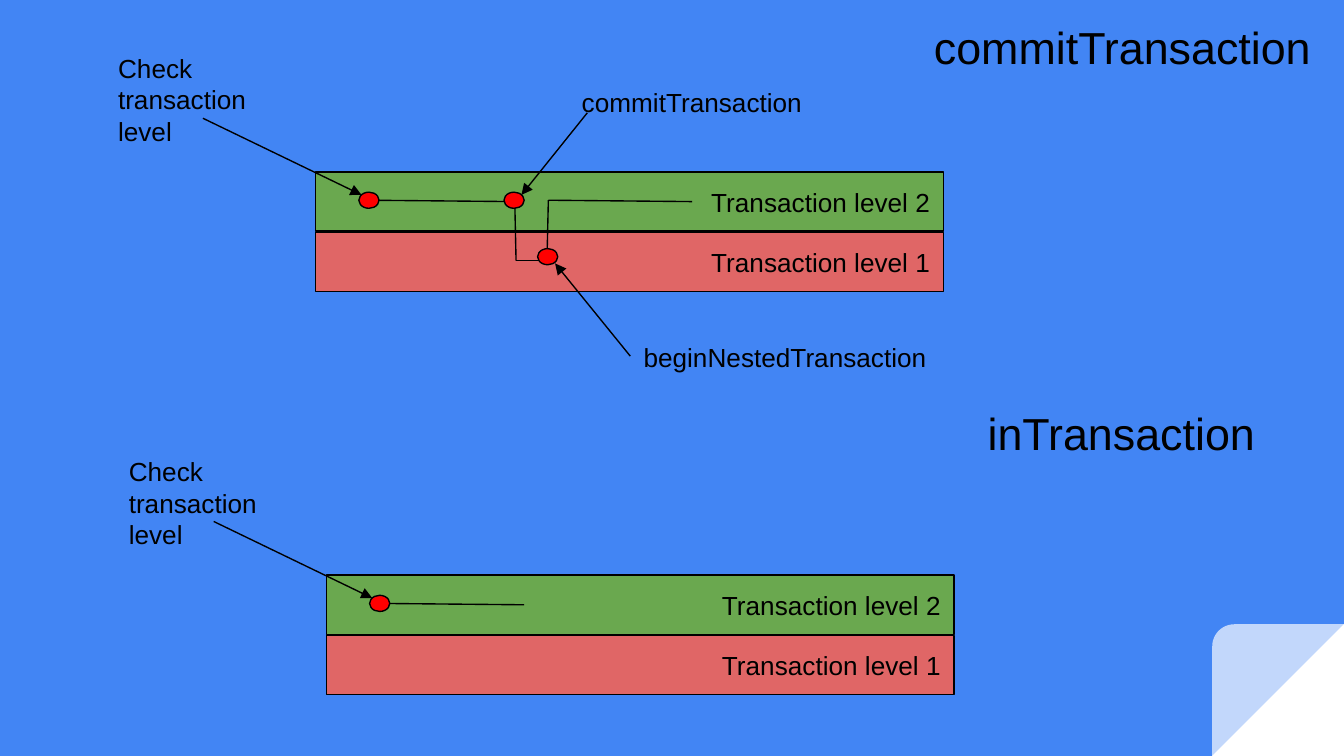
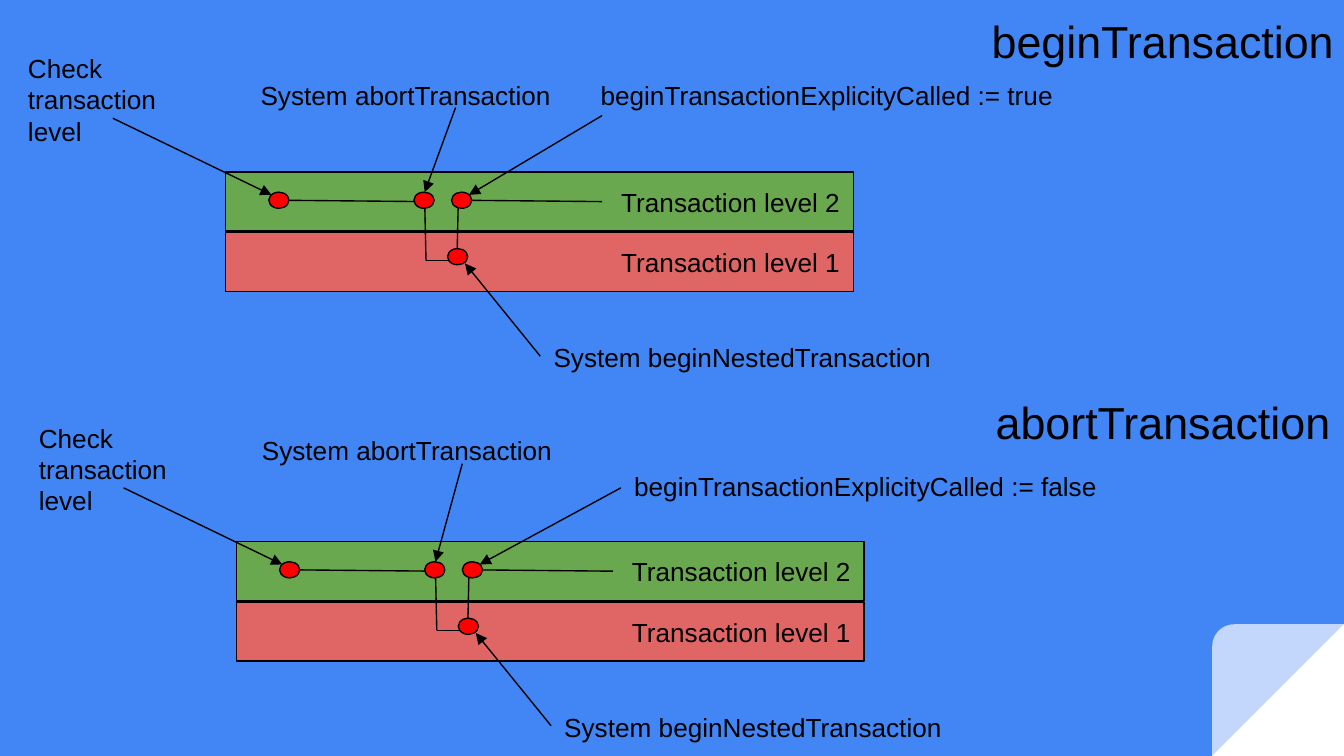
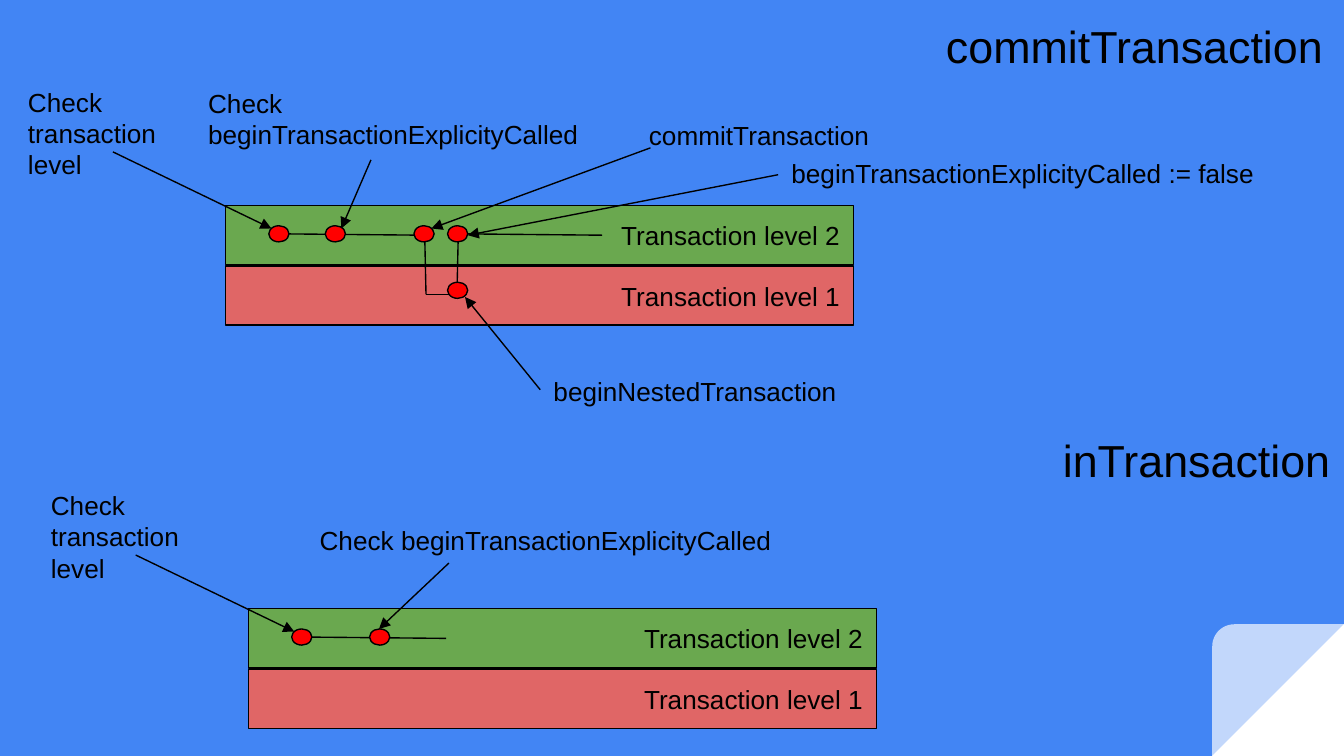
import pptx
import pptx.dml.color
import pptx.enum.shapes
import pptx.enum.text
import pptx.oxml.ns
import pptx.util
from lxml import etree

RGB = pptx.dml.color.RGBColor
SHAPE = pptx.enum.shapes.MSO_SHAPE
BLUE = RGB(0x42, 0x85, 0xF4)
GREEN = RGB(0x6A, 0xA8, 0x4F)
ROSE = RGB(0xE0, 0x66, 0x66)
RED = RGB(0xFF, 0x00, 0x00)
BLACK = RGB(0x00, 0x00, 0x00)
WHITE = RGB(0xFF, 0xFF, 0xFF)

PX = 9144
WIDTH, CORNER = 1000, 98
BAR_W, BAR_H, BAR_STEP = 467, 44, 45
DOT_W, DOT_H, DOT_TOP = 15, 12, 15
LINE_PT = 0.75

EXPLICIT = "beginTransactionExplicityCalled"
FIRST_LINE = [((39, 21), (147, 22))]
NESTED_LINES = FIRST_LINE + [
    ((148, 21), (149, 66)),
    ((149, 66), (172, 66)),
    ((173, 21), (172, 66)),
    ((173, 21), (280, 22)),
]
CHECK_LEVEL = ("Check transaction level", (-157, -99, 125, 96), (-84, -40), (34, 17), (32, DOT_TOP))


def nested(text, width):
    """Return the callout of the nested transaction."""
    return text, (234, 116, width, 46), (234, 137), (178, 68), (165, 57)


def emu(*lengths):
    """Turn px lengths into EMU."""
    return [pptx.util.Emu(length * PX) for length in lengths]


def add_filled(s, kind, box, color, outlined=True):
    """Add a filled shape without shadow."""
    sp = s.shapes.add_shape(kind, *emu(*box))
    sp.shadow.inherit = False
    sp.fill.solid()
    sp.fill.fore_color.rgb = color
    if outlined:
        sp.line.color.rgb = BLACK
        sp.line.width = pptx.util.Pt(LINE_PT)
    else:
        sp.line.fill.background()
    return sp


def write(sp, text, size, align=pptx.enum.text.PP_ALIGN.LEFT):
    """Write one black paragraph into a shape."""
    tf = sp.text_frame
    tf.word_wrap = True
    tf.margin_left = tf.margin_right = tf.margin_top = tf.margin_bottom = pptx.util.Inches(0.1)
    p = tf.paragraphs[0]
    p.text = text
    p.alignment = align
    p.font.name = "Arial"
    p.font.size = pptx.util.Pt(size)
    p.font.color.rgb = BLACK


def add_text(s, text, box, size):
    """Add a text box."""
    sp = s.shapes.add_textbox(*emu(*box))
    write(sp, text, size)
    return sp


def add_line(s, start, end, arrow=False):
    """Add a straight line, with an arrowhead at its end if asked."""
    line = s.shapes.add_connector(pptx.enum.shapes.MSO_CONNECTOR.STRAIGHT, *emu(*start, *end))
    line.line.color.rgb = BLACK
    line.line.width = pptx.util.Pt(LINE_PT)
    props = line._element.spPr
    if arrow:
        etree.SubElement(props.find(pptx.oxml.ns.qn("a:ln")), pptx.oxml.ns.qn("a:tailEnd"), type="triangle")
    etree.SubElement(props, pptx.oxml.ns.qn("a:effectLst"))
    return line


def add_bars(s, left, top):
    """Draw the two transaction levels."""
    for row, (level, color) in enumerate(((2, GREEN), (1, ROSE))):
        sp = add_filled(s, SHAPE.RECTANGLE, (left, top + row * BAR_STEP, BAR_W, BAR_H), color)
        sp.text_frame.vertical_anchor = pptx.enum.text.MSO_ANCHOR.MIDDLE
        write(sp, f"Transaction level {level}", 14, pptx.enum.text.PP_ALIGN.RIGHT)


def add_callout(s, left, top, text, box, start, end, dot):
    """Draw a dot and the label that points to it."""
    x, y, w, h = box
    add_filled(s, SHAPE.OVAL, (left + dot[0], top + dot[1], DOT_W, DOT_H), RED)
    label = add_text(s, text, (left + x, top + y, w, h), 14)
    arrow = add_line(s, (left + start[0], top + start[1]), (left + end[0], top + end[1]), arrow=True)
    if start == (x, y + h // 2):
        arrow.begin_connect(label, 1)


def add_diagram(s, left, top, lines, callouts):
    """Draw the levels, the course through them and its callouts."""
    add_bars(s, left, top)
    for (x1, y1), (x2, y2) in lines:
        add_line(s, (left + x1, top + y1), (left + x2, top + y2))
    for callout in (CHECK_LEVEL, *callouts):
        add_callout(s, left, top, *callout)


def style_layout(layout, s, slide_height):
    """Give the layout its background and folded corner."""
    layout.background.fill.solid()
    layout.background.fill.fore_color.rgb = BLUE
    box = (WIDTH - CORNER, 0, CORNER, CORNER)
    fold = add_filled(s, SHAPE.RIGHT_TRIANGLE, box, WHITE, outlined=False)
    sheet = add_filled(s, SHAPE.ROUND_1_RECTANGLE, box, WHITE, outlined=False)
    color = sheet._element.spPr.find(".//" + pptx.oxml.ns.qn("a:srgbClr"))
    etree.SubElement(color, pptx.oxml.ns.qn("a:alpha"), val="68000")
    for sp in (fold, sheet):
        sp.top = slide_height - sp.height
        sp._element.spPr.xfrm.set("flipH", "1")
        layout.shapes._spTree.append(sp._element)


SLIDES = [
    [
        ("commitTransaction", (685, 5, 308, 46), (235, 128), NESTED_LINES, [
            ("commitTransaction", (188, -74, 191, 46), (202, -44), (153, 17), (140, DOT_TOP)),
            nested("beginNestedTransaction", 233),
        ]),
        ("inTransaction", (725, 292, 227, 46), (243, 428), FIRST_LINE, []),
    ],
    [
        ("beginTransaction", (728, 0, 291, 46), (168, 128), NESTED_LINES, [
            ("System abortTransaction", (16, -79, 241, 46), (171, -48), (148, 15), (140, DOT_TOP)),
            nested("System beginNestedTransaction", 399),
            (f"{EXPLICIT} := true", (269, -79, 357, 46), (280, -42), (181, 17), (168, DOT_TOP)),
        ]),
        ("abortTransaction", (731, 284, 285, 46), (176, 403), NESTED_LINES, [
            ("System abortTransaction", (9, -90, 248, 46), (168, -58), (148, 15), (140, DOT_TOP)),
            nested("System beginNestedTransaction", 330),
            (f"{EXPLICIT} := false", (286, -63, 370, 46), (286, -40), (181, 17), (168, DOT_TOP)),
        ]),
    ],
    [
        ("commitTransaction", (694, 4, 315, 46), (168, 153), NESTED_LINES, [
            ("commitTransaction", (305, -74, 191, 46), (316, -43), (153, 17), (140, DOT_TOP)),
            nested("beginNestedTransaction", 233),
            (f"Check {EXPLICIT}", (-23, -98, 307, 96), (108, -34), (86, 17), (74, DOT_TOP)),
            (f"{EXPLICIT} := false", (411, -46, 370, 46), (411, -23), (180, 22), (165, DOT_TOP)),
        ]),
        ("inTransaction", (781, 312, 242, 46), (185, 453), FIRST_LINE, [
            (f"Check {EXPLICIT}", (43, -73, 370, 44), (149, -34), (97, 15), (90, DOT_TOP)),
        ]),
    ],
]


def main():
    """Build the slides and save them."""
    prs = pptx.Presentation()
    prs.slide_width = pptx.util.Emu(WIDTH * PX)
    prs.slide_height = pptx.util.Emu(prs.slide_width * 9 // 16)
    layout = prs.slide_layouts[6]
    for number, diagrams in enumerate(SLIDES):
        s = prs.slides.add_slide(layout)
        if number == 0:
            style_layout(layout, s, prs.slide_height)
        for title, title_box, origin, lines, callouts in diagrams:
            add_text(s, title, title_box, 24)
            add_diagram(s, *origin, lines, callouts)
    prs.save("out.pptx")


if __name__ == "__main__":
    main()
